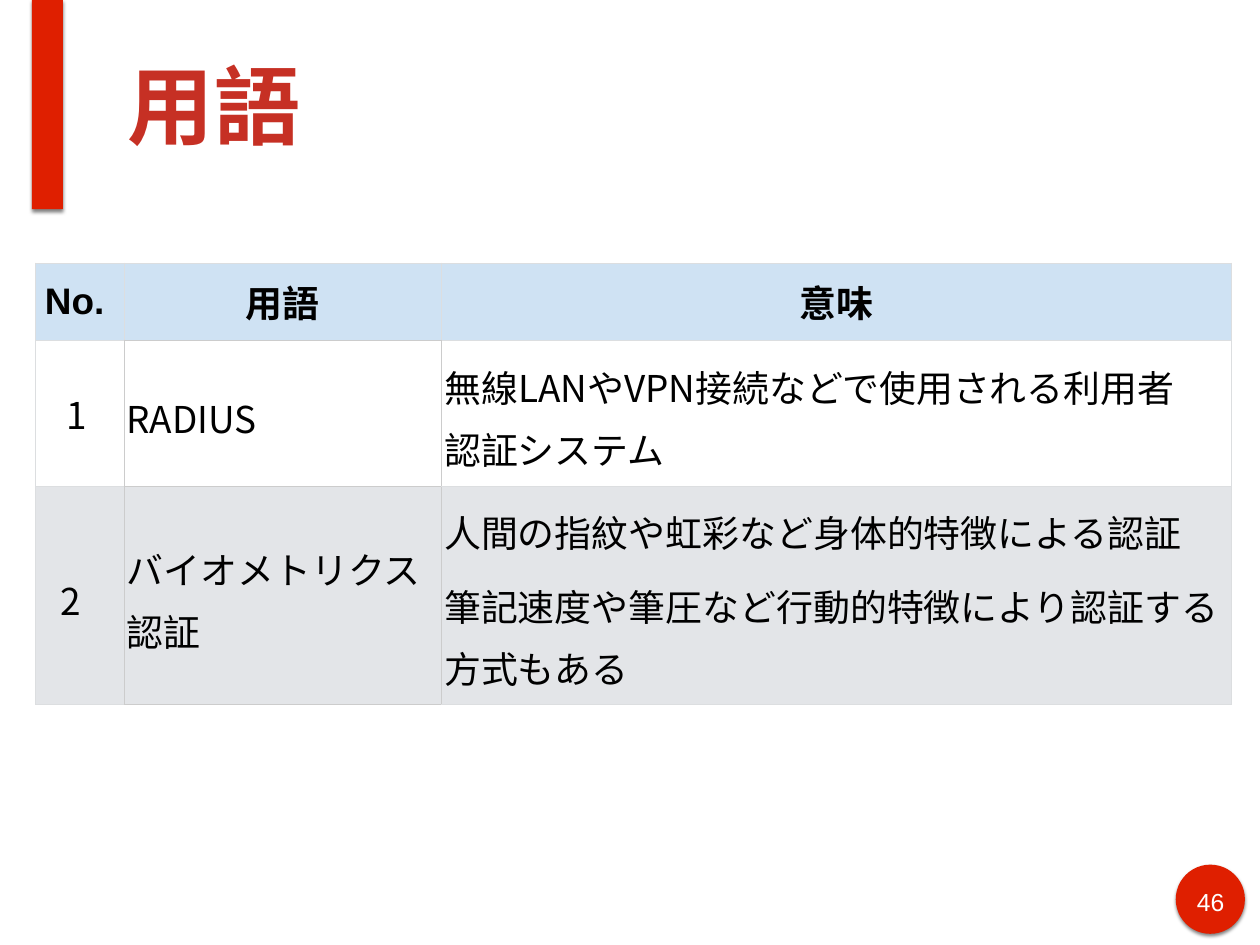
from dataclasses import dataclass

from lxml import etree
from pptx import Presentation
from pptx.dml.color import RGBColor
from pptx.enum.shapes import MSO_SHAPE
from pptx.enum.text import MSO_ANCHOR, MSO_AUTO_SIZE, PP_ALIGN
from pptx.oxml import parse_xml
from pptx.oxml.ns import nsdecls, qn
from pptx.util import Pt

RECT, OVAL = MSO_SHAPE.RECTANGLE, MSO_SHAPE.OVAL
MIDDLE = MSO_ANCHOR.MIDDLE
LEFT, CENTER = PP_ALIGN.LEFT, PP_ALIGN.CENTER
NO_FIT = MSO_AUTO_SIZE.NONE

COLORS = {"accent": "DF1F00", "title": "C63024", "text": "000000",
          "white": "FFFFFF", "header": "CFE2F3", "band": "E3E5E8",
          "grid": "DCDEE0", "term_grid": "CCCCCC"}
LATIN, CJK = "Arial", "Noto Sans CJK JP"
TERM_COL = 1
COL_WIDTHS = (72, 258, 642)
ROW_HEIGHTS = (62.6, 119, 177)
ROW_FILLS = ("header", None, "band")


@dataclass
class Entry:
    """A table cell's paragraphs; a newline is a line break."""
    paragraphs: tuple[str, ...]
    font: str = CJK
    bold: bool = False
    align: PP_ALIGN = LEFT
    inset: tuple[float, float] = (2.2, 1.5)
    indent: float = 0
    spacing: float = 1.15


def header(text: str) -> Entry:
    return Entry((text,), LATIN, True, CENTER, (7.2, 7.2), spacing=1)


def number(text: str, indent: float, spacing: float) -> Entry:
    return Entry((text,), inset=(7.2, 7.2), indent=indent, spacing=spacing)


ROWS = (
    (header("No. "), header("用語"), header("意味")),
    (number("1", 18, 1), Entry(("RADIUS",)),
     Entry(("無線LANやVPN接続などで使用される利用者\n認証システム",))),
    (number("2", 13.5, 1.15), Entry(("バイオメトリクス\n認証",)),
     Entry(("人間の指紋や虹彩など身体的特徴による認証",
            "筆記速度や筆圧など行動的特徴により認証する方式もある"))),
)


def rgb(name: str) -> RGBColor:
    return RGBColor.from_string(COLORS[name])


def add_run(p, text: str, size: float, color: str, font: str = LATIN, bold: bool = False) -> None:
    r = p.add_run()
    r.text = text
    r.font.name, r.font.size, r.font.bold = font, Pt(size), bold
    r.font.color.rgb = rgb(color)
    etree.SubElement(r.font._element, qn("a:ea"), typeface=CJK)


def set_frame(tf, inset: float) -> None:
    tf.margin_left = tf.margin_right = tf.margin_top = tf.margin_bottom = Pt(inset)
    tf.word_wrap, tf.auto_size = True, NO_FIT


def add_accent(slide, kind: MSO_SHAPE, x: float, y: float, w: float, h: float) -> None:
    """Add a red shape with a soft shadow below it."""
    s = slide.shapes.add_shape(kind, Pt(x), Pt(y), Pt(w), Pt(h))
    s.fill.solid()
    s.fill.fore_color.rgb = rgb("accent")
    s.line.fill.background()
    s.shadow.inherit = False
    s._element.spPr.find(qn("a:effectLst")).append(parse_xml(
        f'<a:outerShdw {nsdecls("a")} blurRad="{Pt(3)}" dist="{Pt(2)}" dir="5400000" '
        'rotWithShape="0"><a:srgbClr val="000000"><a:alpha val="49000"/>'
        '</a:srgbClr></a:outerShdw>'))


def set_borders(cell, row: int, col: int) -> None:
    """Edges that touch a body cell of the term column are darker."""
    body = row > 0
    dark = {"L": body and col in (TERM_COL, TERM_COL + 1),
            "R": body and col in (TERM_COL - 1, TERM_COL),
            "T": body and col == TERM_COL,
            "B": col == TERM_COL}
    tcPr = cell._tc.get_or_add_tcPr()
    for side, is_dark in dark.items():
        color, width = ("term_grid", 0.83) if is_dark else ("grid", 0.75)
        tcPr.append(parse_xml(
            f'<a:ln{side} {nsdecls("a")} w="{Pt(width)}"><a:solidFill>'
            f'<a:srgbClr val="{COLORS[color]}"/></a:solidFill></a:ln{side}>'))


def fill_cell(cell, entry: Entry, fill: str | None) -> None:
    if fill:
        cell.fill.solid()
        cell.fill.fore_color.rgb = rgb(fill)
    else:
        cell.fill.background()
    side, end = entry.inset
    cell.margin_left = cell.margin_right = Pt(side)
    cell.margin_top = cell.margin_bottom = Pt(end)
    cell.vertical_anchor = MIDDLE
    tf = cell.text_frame
    for i, text in enumerate(entry.paragraphs):
        p = tf.add_paragraph() if i else tf.paragraphs[0]
        p.alignment, p.line_spacing = entry.align, entry.spacing
        p._p.get_or_add_pPr().set("marL", str(Pt(entry.indent)))
        if i:
            p.space_before = Pt(10)
        for j, line in enumerate(text.split("\n")):
            if j:
                p.add_line_break()
            add_run(p, line, 30, "text", entry.font, entry.bold)


def add_terms(slide) -> None:
    frame = slide.shapes.add_table(len(ROWS), len(COL_WIDTHS), Pt(28.8), Pt(213.8),
                                   Pt(sum(COL_WIDTHS)), Pt(sum(ROW_HEIGHTS)))
    table = frame.table
    table.horz_banding = False
    for column, width in zip(table.columns, COL_WIDTHS):
        column.width = Pt(width)
    for i, (entries, height, fill) in enumerate(zip(ROWS, ROW_HEIGHTS, ROW_FILLS)):
        table.rows[i].height = Pt(height)
        for j, entry in enumerate(entries):
            set_borders(table.cell(i, j), i, j)
            fill_cell(table.cell(i, j), entry, fill)


def add_title(slide, text: str) -> None:
    s = slide.shapes.title
    s.left, s.top, s.width, s.height = Pt(100), Pt(8.6), Pt(874), Pt(152.6)
    tf = s.text_frame
    set_frame(tf, 4)
    tf.vertical_anchor = MIDDLE
    p = tf.paragraphs[0]
    p.alignment = LEFT
    add_run(p, text, 70, "title", bold=True)


def add_page_number(slide, text: str) -> None:
    s = slide.shapes.add_textbox(Pt(966.2), Pt(716.4), Pt(35.3), Pt(28))
    set_frame(s.text_frame, 4)
    p = s.text_frame.paragraphs[0]
    p.alignment = CENTER
    add_run(p, text, 20, "white")


def main() -> None:
    prs = Presentation()
    prs.slide_width, prs.slide_height = Pt(1024), Pt(768)
    slide = prs.slides.add_slide(prs.slide_layouts[5])
    add_accent(slide, OVAL, 955.5, 702.7, 56.2, 56.2)
    add_accent(slide, RECT, 26, 0, 25.2, 170)
    add_page_number(slide, "46")
    add_title(slide, "用語")
    add_terms(slide)
    prs.save("out.pptx")


if __name__ == "__main__":
    main()
